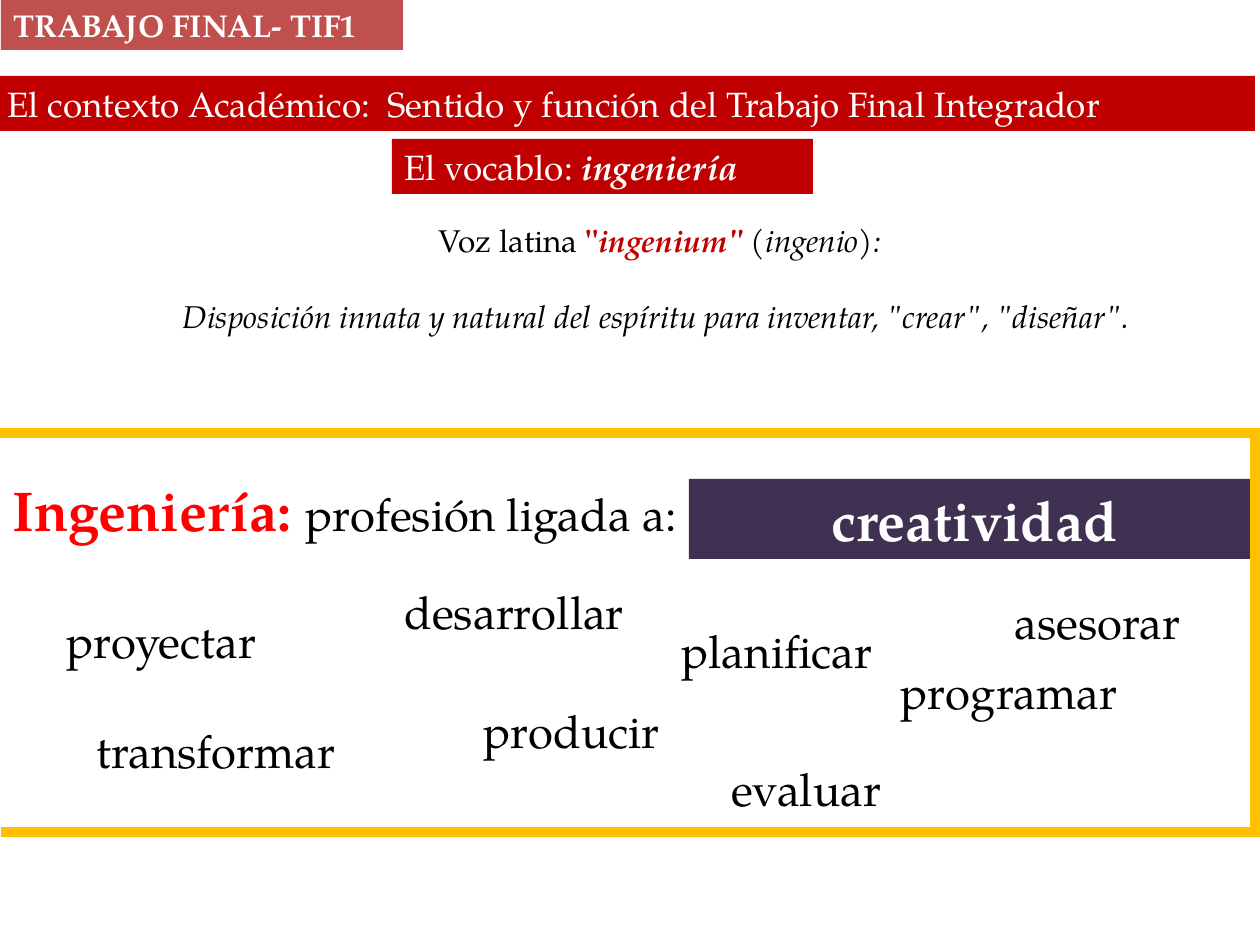
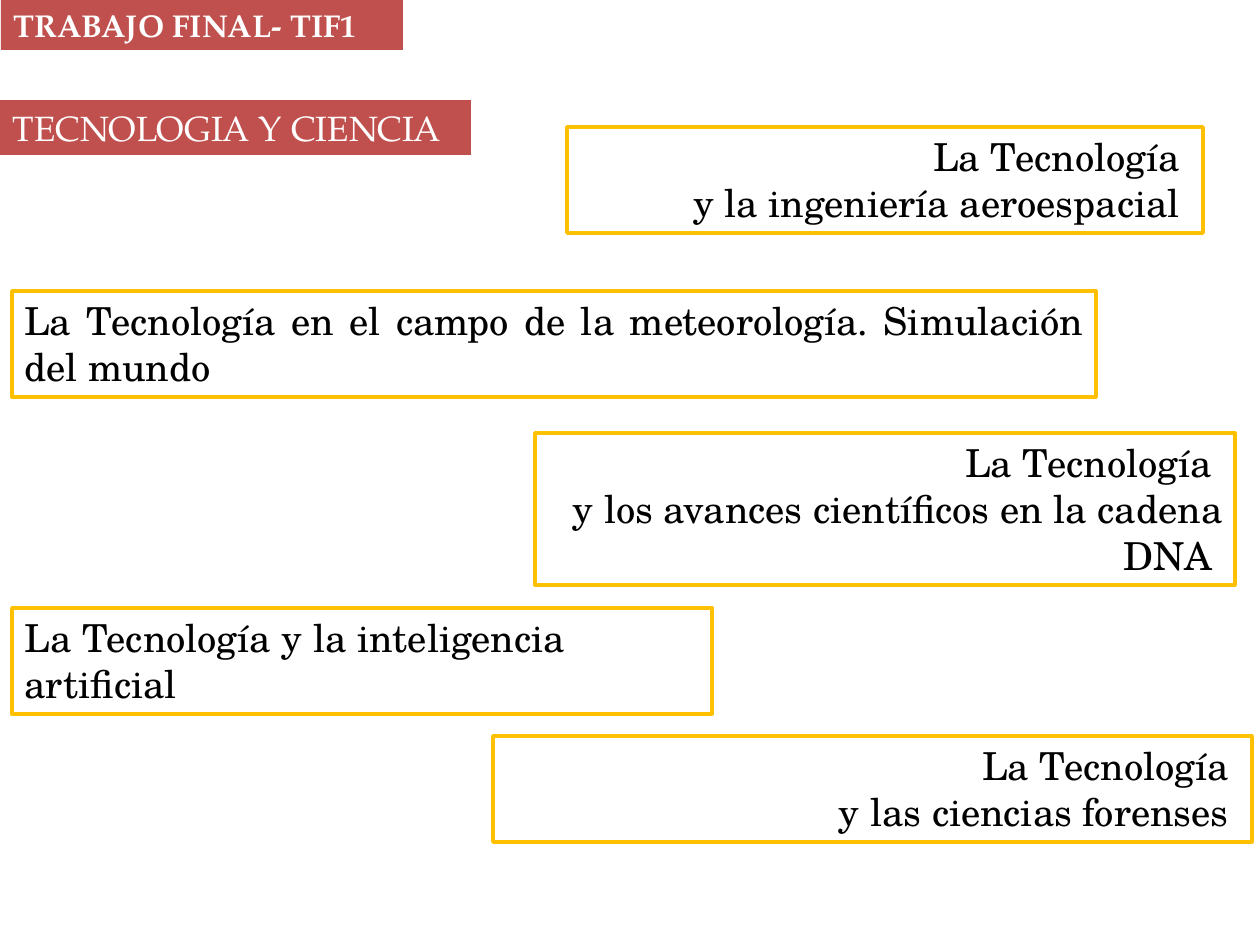
import pptx
import pptx.dml.color
import pptx.enum.shapes
import pptx.enum.text
import pptx.oxml.ns
import pptx.util
import lxml.etree

RGB = pptx.dml.color.RGBColor
ALIGN = pptx.enum.text.PP_ALIGN
BLACK = RGB(0x00, 0x00, 0x00)
WHITE = RGB(0xFF, 0xFF, 0xFF)
RED = RGB(0xFF, 0x00, 0x00)
CRIMSON = RGB(0xC0, 0x00, 0x00)
BRICK = RGB(0xC0, 0x50, 0x4D)
PURPLE = RGB(0x40, 0x31, 0x52)
GOLD = RGB(0xFF, 0xC0, 0x00)
SERIF = "TeX Gyre Pagella"
SCHOOL = "TeX Gyre Schola"

PX = pptx.util.Inches(1) // 126
SLIDE_SIZE = (1260, 945)
HEADER = ("TRABAJO FINAL- TIF1", (1, 0, 402, 50))

CONTEXT_TITLE = ("El contexto Académico:  Sentido y función del Trabajo Final Integrador",
                 (-5, 76, 1260, 55), CRIMSON, ALIGN.LEFT)
SCIENCE_TITLE = ("TECNOLOGIA Y CIENCIA", (0, 100, 471, 55), BRICK, ALIGN.JUSTIFY)

ORIGIN = [
    [(" Voz latina ", {}), ("\"", {"color": CRIMSON, "bold": True}),
     ("ingenium\" ", {"color": CRIMSON, "bold": True, "italic": True}),
     ("(ingenio): ", {"italic": True})],
    [("Disposición innata y natural del espíritu para inventar, \"crear\", \"diseñar\". ",
      {"italic": True})],
]
TERM = [[("El vocablo: ", {}), ("ingeniería", {"bold": True, "italic": True})]]
PROFESSION = [[("Ingeniería: ", {"size": 32, "color": RED, "bold": True}),
               ("profesión ligada a:", {})]]
CREATIVITY = [[("creatividad", {"bold": True})]]
ACTIVITIES = [
    ("proyectar", 54, 607, 287), ("desarrollar", 392, 578, 318), ("producir", 471, 697, 318),
    ("transformar", 84, 717, 318), ("planificar", 669, 617, 318), ("evaluar", 719, 755, 318),
    ("asesorar", 1002, 588, 258), ("programar", 888, 658, 318),
]
FRAME_LINES = [(0, 433, 1260, 433), (1255, 433, 1255, 835), (1, 832, 1261, 832)]

TECHNOLOGIES = [
    (["La Tecnología ", " y la ingeniería aeroespacial "], (567, 127, 636, 106), ALIGN.RIGHT),
    (["La Tecnología en el campo de la meteorología. Simulación del mundo"],
     (12, 291, 1084, 106), ALIGN.JUSTIFY),
    (["La Tecnología ", "y los avances científicos en la cadena DNA "],
     (535, 433, 700, 152), ALIGN.RIGHT),
    (["La Tecnología y la inteligencia artificial "], (12, 608, 700, 106), ALIGN.LEFT),
    (["La Tecnología ", "y las ciencias forenses "], (493, 736, 759, 106), ALIGN.RIGHT),
]


def scaled(lengths):
    return [length * PX for length in lengths]


def write(shape, paragraphs, size, color=BLACK, align=ALIGN.LEFT, font=SERIF, bold=False, gap=0):
    frame = shape.text_frame
    frame.word_wrap = True
    frame.auto_size = pptx.enum.text.MSO_AUTO_SIZE.NONE
    frame.vertical_anchor = pptx.enum.text.MSO_ANCHOR.TOP
    for index, spans in enumerate(paragraphs):
        para = frame.add_paragraph() if index else frame.paragraphs[0]
        para.alignment = align
        para.space_before = pptx.util.Pt(gap if index else 0)
        for text, style in spans:
            span = para.add_run()
            span.text = text
            span.font.name = font
            span.font.size = pptx.util.Pt(style.get("size", size))
            span.font.color.rgb = style.get("color", color)
            span.font.bold = style.get("bold", bold)
            span.font.italic = style.get("italic", False)


def add_box(page, place, fill=None, outline=None):
    box = page.shapes.add_shape(pptx.enum.shapes.MSO_SHAPE.RECTANGLE, *scaled(place))
    box.shadow.inherit = False
    if fill is None:
        box.fill.background()
    else:
        box.fill.solid()
        box.fill.fore_color.rgb = fill
    if outline is None:
        box.line.fill.background()
    else:
        box.line.color.rgb = outline
        box.line.width = pptx.util.Pt(2)
    return box


def add_line(page, ends):
    line = page.shapes.add_connector(pptx.enum.shapes.MSO_CONNECTOR.STRAIGHT, *scaled(ends))
    line.line.color.rgb = GOLD
    line.line.width = pptx.util.Pt(6)
    lxml.etree.SubElement(line._element.spPr, pptx.oxml.ns.qn("a:effectLst"))


def add_page(deck, title_text, place, fill, align):
    page = deck.slides.add_slide(deck.slide_layouts[5])
    title = page.shapes.title
    title.left, title.top, title.width, title.height = scaled(place)
    title.fill.solid()
    title.fill.fore_color.rgb = fill
    write(title, [[(title_text, {})]], 20, WHITE, align)
    header_text, header_place = HEADER
    write(add_box(page, header_place, BRICK), [[(header_text, {})]], 18, WHITE, bold=True)
    return page


def build_context(deck):
    page = add_page(deck, *CONTEXT_TITLE)
    origin = page.shapes.add_textbox(*scaled((84, 215, 1152, 126)))
    write(origin, ORIGIN, 18, align=ALIGN.CENTER, gap=22)
    write(add_box(page, (392, 139, 421, 55), CRIMSON), TERM, 20, WHITE)
    profession = page.shapes.add_textbox(*scaled((0, 469, 714, 135)))
    write(profession, PROFESSION, 26)
    write(add_box(page, (689, 479, 571, 80), PURPLE), CREATIVITY, 32, WHITE, ALIGN.CENTER)
    for activity, left, top, width in ACTIVITIES:
        label = page.shapes.add_textbox(*scaled((left, top, width, 68)))
        write(label, [[(activity, {})]], 26)
    for ends in FRAME_LINES:
        add_line(page, ends)


def build_science(deck):
    page = add_page(deck, *SCIENCE_TITLE)
    for texts, place, align in TECHNOLOGIES:
        box = add_box(page, place, outline=GOLD)
        write(box, [[(text, {})] for text in texts], 22, align=align, font=SCHOOL)


def main():
    deck = pptx.Presentation()
    deck.slide_width, deck.slide_height = scaled(SLIDE_SIZE)
    build_context(deck)
    build_science(deck)
    deck.save("out.pptx")


if __name__ == "__main__":
    main()
